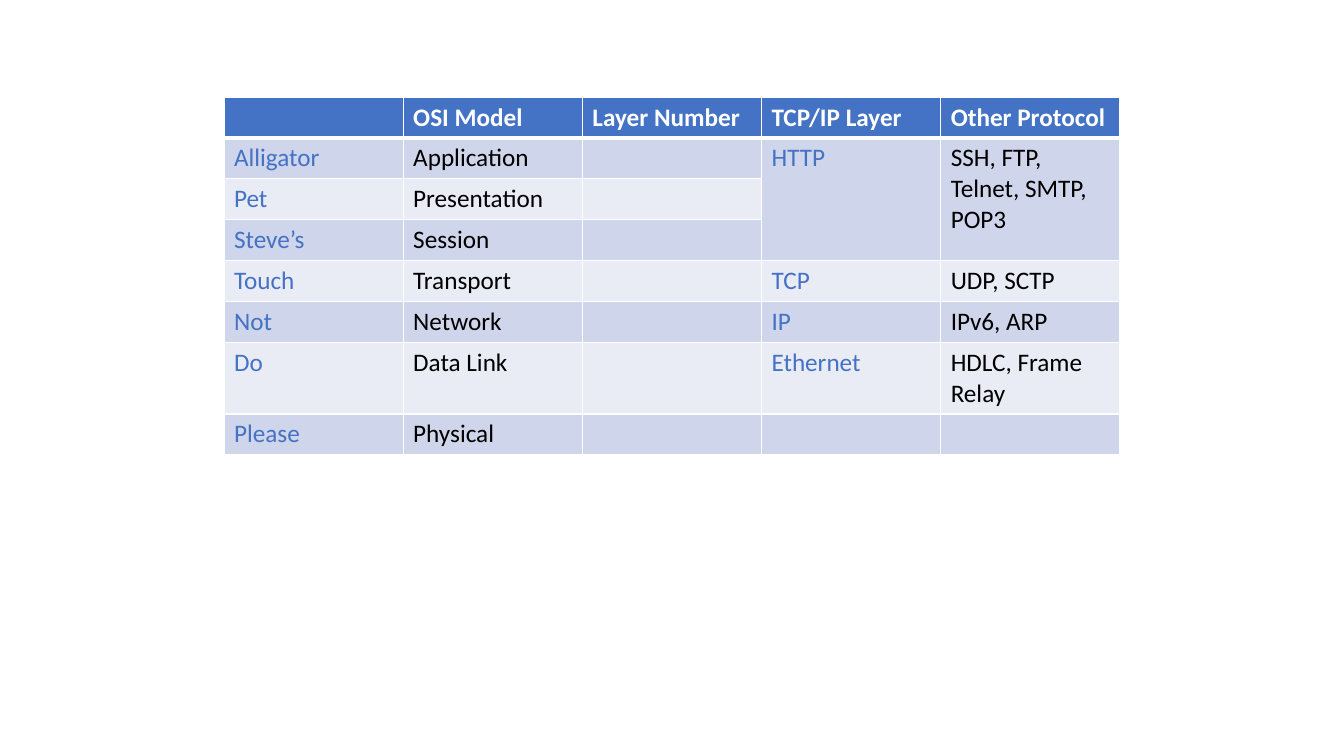
from dataclasses import dataclass

from lxml.etree import SubElement
from pptx import Presentation
from pptx.dml.color import RGBColor
from pptx.oxml.ns import qn
from pptx.util import Pt


@dataclass(frozen=True)
class Theme:
    """Hold the colours, font and sizes of the slide."""
    blue: str = "4472C4"
    white: str = "FFFFFF"
    black: str = "000000"
    bands: tuple = ("CFD5EA", "E9EBF5")
    font: str = "Calibri"
    size: int = 18
    thin: int = 1
    thick: int = 3


THEME = Theme()
LEFT, TOP = 160, 69.3
WIDTH, HEIGHT = 128, 29.2
ROWS = [
    ["", "OSI Model", "Layer Number", "TCP/IP Layer", "Other Protocol"],
    ["Alligator", "Application", "", "HTTP", "SSH, FTP, Telnet, SMTP, POP3"],
    ["Pet", "Presentation", "", "", ""],
    ["Steve’s", "Session", "", "", ""],
    ["Touch", "Transport", "", "TCP", "UDP, SCTP"],
    ["Not", "Network", "", "IP", "IPv6, ARP"],
    ["Do", "Data Link", "", "Ethernet", "HDLC, Frame Relay"],
    ["Please", "Physical", "", "", ""],
]
BLUE_COLS = (0, 3)
MERGED = {3: (1, 3), 4: (1, 3)}


def write(cell, text, color=THEME.black, bold=False):
    """Put formatted text into a cell."""
    line = cell.text_frame.paragraphs[0]
    line.font.size = Pt(THEME.size)
    if text:
        run = line.add_run()
        run.text = text
        run.font.name = THEME.font
        run.font.size = Pt(THEME.size)
        run.font.bold = bold
        run.font.color.rgb = RGBColor.from_string(color)


def edge(cell, **widths):
    """Draw white borders on all sides of a cell."""
    props = cell._tc.get_or_add_tcPr()
    for side in "LRTB":
        width = Pt(widths.get(side, THEME.thin))
        line = SubElement(props, qn(f"a:ln{side}"), w=str(width))
        fill = SubElement(line, qn("a:solidFill"))
        SubElement(fill, qn("a:srgbClr"), val=THEME.white)


def paint(cell, color):
    """Fill a cell with one colour."""
    cell.fill.solid()
    cell.fill.fore_color.rgb = RGBColor.from_string(color)


def head(cell, text):
    """Format a cell of the header row."""
    write(cell, text, color=THEME.white, bold=True)
    edge(cell, B=THEME.thick)
    paint(cell, THEME.blue)


def body(cell, text, row, col):
    """Format a cell below the header row."""
    write(cell, text, color=THEME.blue if col in BLUE_COLS else THEME.black)
    edge(cell, T=THEME.thick if row == 1 else THEME.thin)
    paint(cell, THEME.bands[(row - 1) % 2])


def grid(slide):
    """Add the table of network layers."""
    rows, cols = len(ROWS), len(ROWS[0])
    table = slide.shapes.add_table(
        rows, cols, Pt(LEFT), Pt(TOP), Pt(WIDTH * cols), Pt(HEIGHT * rows)
    ).table
    for col in table.columns:
        col.width = Pt(WIDTH)
    for row in table.rows:
        row.height = Pt(HEIGHT)
    for r, texts in enumerate(ROWS):
        for c, text in enumerate(texts):
            cell = table.cell(r, c)
            if r == 0:
                head(cell, text)
            else:
                body(cell, text, r, c)
    for c, (first, last) in MERGED.items():
        table.cell(first, c).merge(table.cell(last, c))


def main():
    """Build and save the slide."""
    deck = Presentation()
    deck.slide_width, deck.slide_height = Pt(960), Pt(540)
    grid(deck.slides.add_slide(deck.slide_layouts[6]))
    deck.save("out.pptx")


if __name__ == "__main__":
    main()
